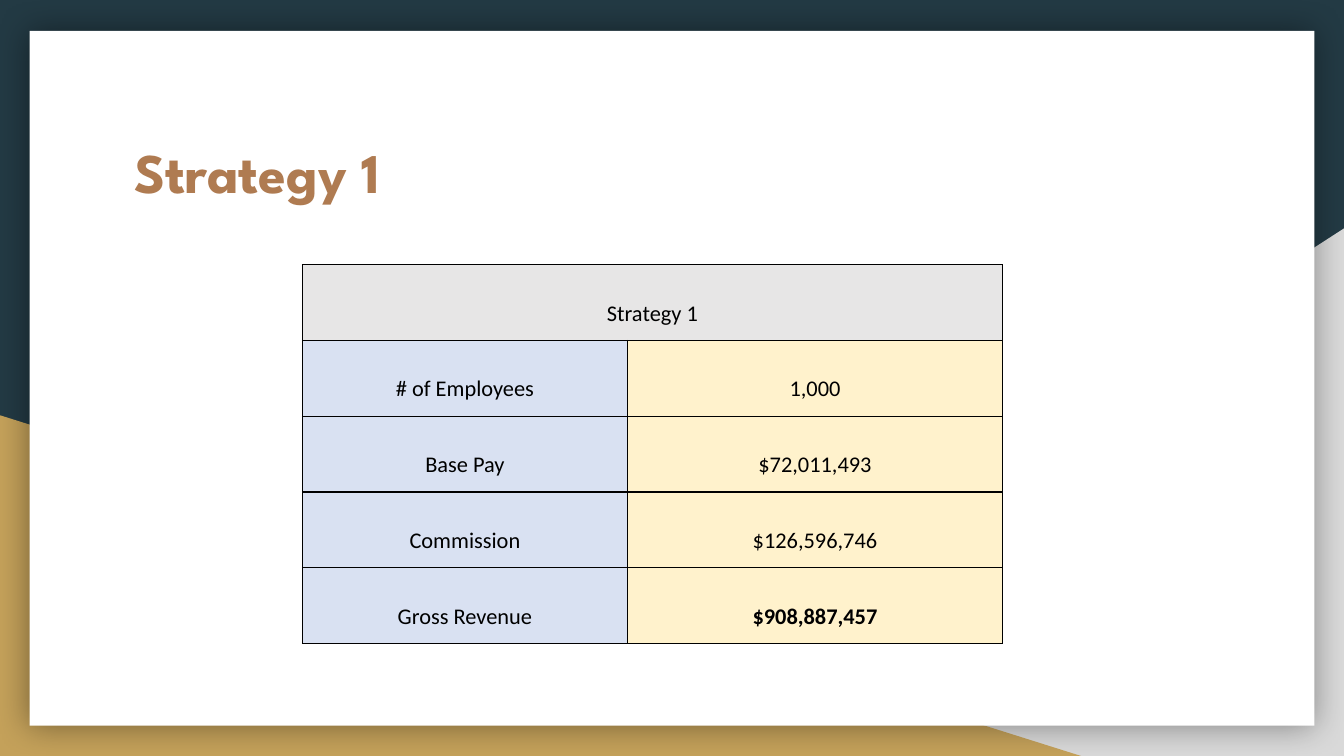
"""Build the Strategy 1 slide with its pay and revenue table."""
from lxml import etree
from pptx import Presentation
from pptx.dml.color import RGBColor
from pptx.enum import shapes, text
from pptx.oxml import parse_xml
from pptx.oxml.ns import nsdecls, qn
from pptx.util import Inches, Pt

NAVY = RGBColor(0x23, 0x3A, 0x44)
SILVER = RGBColor(0xD9, 0xD9, 0xD9)
GOLD = RGBColor(0xC4, 0xA1, 0x5A)
WHITE = RGBColor(0xFF, 0xFF, 0xFF)
BRONZE = RGBColor(0xAF, 0x7B, 0x51)
BLACK = RGBColor(0, 0, 0)
GRAY = RGBColor(0xE7, 0xE6, 0xE6)
BLUE = RGBColor(0xD9, 0xE1, 0xF2)
CREAM = RGBColor(0xFF, 0xF2, 0xCC)


def add_panel(preset, left, top, width, height, color):
    panel = slide.shapes.add_shape(
        preset, Inches(left), Inches(top), Inches(width), Inches(height))
    panel.shadow.inherit = False
    panel.fill.solid()
    panel.fill.fore_color.rgb = color
    panel.line.fill.background()
    return panel


def fill_cell(cell, words, color, spacing=1.15, bold=False):
    cell.text_frame.text = words
    cell.vertical_anchor = text.MSO_ANCHOR.BOTTOM
    cell.margin_left = cell.margin_right = cell.margin_top = Inches(0.01)
    cell.margin_bottom = Inches(0.1)
    paragraph = cell.text_frame.paragraphs[0]
    paragraph.alignment = text.PP_ALIGN.CENTER
    paragraph.line_spacing = spacing
    for run in paragraph.runs:
        run.font.name = "Calibri"
        run.font.size = Pt(12)
        run.font.bold = bold
        run.font.color.rgb = BLACK
    properties = cell._tc.get_or_add_tcPr()
    for side in ("lnL", "lnR", "lnT", "lnB"):
        properties.append(parse_xml(
            f'<a:{side} {nsdecls("a")} w="{Pt(0.75)}"><a:solidFill>'
            f'<a:srgbClr val="{BLACK}"/></a:solidFill></a:{side}>'))
    cell.fill.solid()
    cell.fill.fore_color.rgb = color


deck = Presentation()
deck.slide_width = Inches(10)
deck.slide_height = Inches(10) * 9 // 16
slide = deck.slides.add_slide(deck.slide_layouts[6])
slide.background.fill.solid()
slide.background.fill.fore_color.rgb = NAVY

triangle = shapes.MSO_SHAPE.RIGHT_TRIANGLE
right_corner = add_panel(triangle, 3.92, 1.7, 6.08, 3.93, SILVER)
right_corner._element.spPr.find(qn("a:xfrm")).set("flipH", "1")
add_panel(triangle, 0, 3.09, 8.06, 2.54, GOLD)

page = add_panel(shapes.MSO_SHAPE.RECTANGLE, 0.22, 0.23, 9.56, 5.17, WHITE)
glow = etree.SubElement(page._element.spPr.find(qn("a:effectLst")),
                        qn("a:outerShdw"), blurRad=str(Pt(18)),
                        dist="0", dir="0", algn="ctr", rotWithShape="0")
glow_color = etree.SubElement(glow, qn("a:srgbClr"), val=str(BLACK))
etree.SubElement(glow_color, qn("a:alpha"), val="40000")

title = slide.shapes.add_textbox(
    Inches(0.9), Inches(0.92), Inches(8.21), Inches(1.04)).text_frame
title.word_wrap = True
title.margin_left = title.margin_right = Inches(0.1)
title.margin_top = title.margin_bottom = Inches(0.1)
title.text = "Strategy 1"
heading = title.paragraphs[0].runs[0].font
heading.name = "League Spartan"
heading.size = Pt(30)
heading.bold = True
heading.color.rgb = BRONZE

figures = [
    ("# of Employees", "1,000"),
    ("Base Pay", "$72,011,493"),
    ("Commission", "$126,596,746"),
    ("Gross Revenue", "$908,887,457"),
]
strategy = slide.shapes.add_table(
    len(figures) + 1, 2, Inches(2.25), Inches(1.97),
    Inches(5.21), Inches(2.82)).table
strategy.first_row = strategy.horz_banding = False
strategy.columns[0].width = Inches(2.42)
strategy.columns[1].width = Inches(2.79)

for column in range(2):
    fill_cell(strategy.cell(0, column), "" if column else "Strategy 1", GRAY)
strategy.cell(0, 0).merge(strategy.cell(0, 1))
for row, (label, amount) in enumerate(figures, start=1):
    fill_cell(strategy.cell(row, 0), label, BLUE, spacing=1.0)
    fill_cell(strategy.cell(row, 1), amount, CREAM, bold=row == len(figures))

deck.save("out.pptx")
